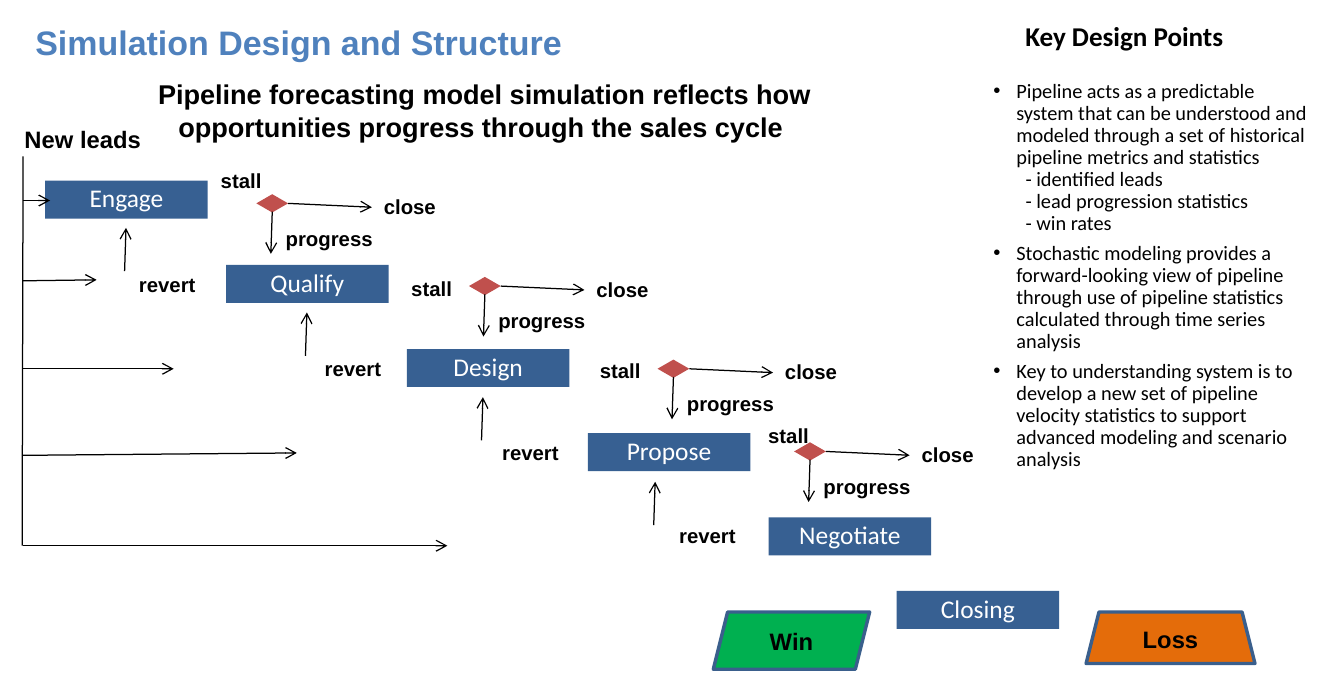
from dataclasses import dataclass

from lxml import etree
from pptx import Presentation
from pptx.dml.color import RGBColor
from pptx.enum.shapes import MSO_CONNECTOR, MSO_SHAPE
from pptx.enum.text import MSO_ANCHOR, MSO_AUTO_SIZE, PP_ALIGN
from pptx.oxml.ns import qn
from pptx.util import Cm, Pt

LEFT, CENTER = PP_ALIGN.LEFT, PP_ALIGN.CENTER
TOP, MIDDLE = MSO_ANCHOR.TOP, MSO_ANCHOR.MIDDLE
FIXED, GROW = MSO_AUTO_SIZE.NONE, MSO_AUTO_SIZE.SHAPE_TO_FIT_TEXT
RECTANGLE, DECISION = MSO_SHAPE.RECTANGLE, MSO_SHAPE.FLOWCHART_DECISION
PARALLELOGRAM, TRAPEZOID = MSO_SHAPE.PARALLELOGRAM, MSO_SHAPE.TRAPEZOID
STRAIGHT = MSO_CONNECTOR.STRAIGHT
TITLE_ONLY = 5
PAGE_SIZE = Pt(792), Pt(405)  # 11 by 5 5/8 inches, whole only in points


@dataclass(frozen=True)
class Theme:
    heading_font: str = "Arial"
    body_font: str = "Calibri"
    title: str = "4F81BD"
    ink: str = "000000"
    paper: str = "FFFFFF"
    stage: str = "376092"
    decision: str = "C0504D"
    win: str = "00B050"
    loss: str = "E46C0A"
    outline: str = "3A5F8C"
    title_size: int = 20
    heading_size: int = 16
    stage_size: int = 15
    large_label_size: int = 14
    label_size: int = 12


THEME = Theme()

# Content; all lengths are in centimetres
TITLE = "Simulation Design and Structure"
SUBTITLE = ("Pipeline forecasting model simulation reflects how "
            "opportunities progress through the sales cycle ")
POINTS_HEADING = "Key Design Points"
POINTS = [
    ("Pipeline acts as a predictable system that can be understood and modeled "
     "through a set of historical pipeline metrics and statistics",
     ["- identified leads", "- lead progression statistics", "- win rates"]),
    ("Stochastic modeling provides a forward-looking view of pipeline through "
     "use of pipeline statistics calculated through time series analysis", []),
    ("Key to understanding system is to develop a new set of pipeline velocity "
     "statistics to support advanced modeling and scenario analysis", []),
]
STAGES = ["Engage", "Qualify", "Design", "Propose", "Negotiate"]
# Decision left, then offset of its "stall" label
DECISIONS = [
    (5.33, (-0.99, -0.66)),
    (9.75, (-1.45, -0.15)),
    (13.67, (-1.45, -0.15)),
    (16.51, (-0.79, -0.53)),
]
# Arrow left, then label left
REVERTS = [(2.59, 2.64), (6.35, 6.5), (10.01, 10.19), (13.59, 13.87)]
# Start height, end x, end height of each new-leads arrow
LEADS = [
    (4.17, 1.04, 4.17),
    (5.84, 2.01, 5.82),
    (7.67, 3.61, 7.67),
    (9.47, 6.17, 9.42),
    (11.35, 9.3, 11.35),
]
OUTCOMES = [
    ("Win", PARALLELOGRAM, THEME.win, (14.83, 12.73, 3.25, 1.19)),
    ("Loss", TRAPEZOID, THEME.loss, (22.58, 12.73, 3.51, 1.07)),
]
STAGE_SIZE = (3.38, 0.79)
LABEL_WIDTHS = {"stall": 1.37, "progress": 2.34, "close": 1.6, "revert": 1.7}


def color(value):
    return RGBColor.from_string(value)


def write(frame, text, *, size, font=THEME.heading_font, ink=THEME.ink, bold=True,
          align=LEFT, line_spacing=None, space_before=0, new_paragraph=False):
    para = frame.add_paragraph() if new_paragraph else frame.paragraphs[0]
    para.alignment = align
    para.space_before = Pt(space_before)
    if line_spacing:
        para.line_spacing = line_spacing
    span = para.add_run()
    span.text = text
    span.font.name, span.font.size, span.font.bold = font, Pt(size), bold
    span.font.color.rgb = color(ink)
    return para


def add_frame(slide, bounds, wrap=True):
    frame = slide.shapes.add_textbox(*map(Cm, bounds)).text_frame
    frame.word_wrap = wrap
    frame.auto_size = GROW
    return frame


def add_label(slide, text, left, top):
    frame = add_frame(slide, (left, top, LABEL_WIDTHS[text], 0.76), wrap=False)
    write(frame, text, size=THEME.label_size)


def add_block(slide, kind, bounds, fill, outline=None):
    block = slide.shapes.add_shape(kind, *map(Cm, bounds))
    block.shadow.inherit = False
    block.fill.solid()
    block.fill.fore_color.rgb = color(fill)
    if outline:
        block.line.color.rgb = color(outline)
        block.line.width = Pt(2)
    else:
        block.line.fill.background()
    frame = block.text_frame
    frame.vertical_anchor = MIDDLE
    frame.word_wrap = False
    frame.margin_left = frame.margin_right = frame.margin_top = frame.margin_bottom = 0
    return frame


def add_line(slide, start, end, arrow=True):
    line = slide.shapes.add_connector(STRAIGHT, *map(Cm, (*start, *end)))
    line.line.color.rgb = color(THEME.ink)
    line.line.width = Pt(0.75)
    properties = line._element.spPr
    if arrow:
        etree.SubElement(properties.find(qn("a:ln")), qn("a:tailEnd"), type="arrow")
    etree.SubElement(properties, qn("a:effectLst"))


def indent(para, margin, bullet=False):
    properties = para._p.get_or_add_pPr()
    properties.set("marL", str(Cm(margin)))
    properties.set("indent", str(Cm(-margin if bullet else 0)))
    if bullet:
        etree.SubElement(properties, qn("a:buFont"), typeface="Arial")
        etree.SubElement(properties, qn("a:buChar"), char="•")


def add_headings(slide):
    title = slide.shapes.title
    title.left, title.top, title.width, title.height = map(Cm, (0.48, 0.41, 25.27, 0.79))
    title.text_frame.vertical_anchor = TOP
    title.text_frame.auto_size = FIXED
    write(title.text_frame, TITLE, size=THEME.title_size, ink=THEME.title, line_spacing=0.9)
    write(add_frame(slide, (2.24, 1.49, 15.67, 1.63)), SUBTITLE,
          size=THEME.heading_size, align=CENTER)
    write(add_frame(slide, (0.26, 2.48, 2.95, 0.86), wrap=False), "New leads",
          size=THEME.large_label_size)


def add_points(slide):
    heading = add_block(slide, RECTANGLE, (19.54, 0.35, 7.67, 0.89), THEME.paper)
    write(heading, POINTS_HEADING, size=THEME.heading_size, font=THEME.body_font,
          align=CENTER, line_spacing=0.9)
    frame = add_frame(slide, (20.4, 1.56, 7.04, 8.51))
    style = dict(size=THEME.label_size, font=THEME.body_font, bold=False, line_spacing=0.9)
    for index, (point, details) in enumerate(POINTS):
        para = write(frame, point, space_before=4.8 if index else 0,
                     new_paragraph=index > 0, **style)
        indent(para, 0.48, bullet=True)
        for detail in details:
            indent(write(frame, detail, new_paragraph=True, **style), 0.67)


def add_flow(slide):
    corners = [(0.94 + 3.76 * i, 3.76 + 1.75 * i) for i in range(len(STAGES))]
    for stage, corner in zip(STAGES + ["Closing"], corners + [(18.64, 12.29)]):
        frame = add_block(slide, RECTANGLE, (*corner, *STAGE_SIZE), THEME.stage)
        write(frame, stage, size=THEME.stage_size, font=THEME.body_font,
              ink=THEME.paper, bold=False, align=CENTER, line_spacing=0.9)

    for row, (x, stall) in enumerate(DECISIONS):
        y = 4.04 + 1.72 * row
        add_block(slide, DECISION, (x, y, 0.66, 0.38), THEME.decision)
        for text, (dx, dy) in (("stall", stall), ("progress", (0.36, 0.53)),
                               ("close", (2.4, -0.13))):
            add_label(slide, text, x + dx, y + dy)
        add_line(slide, (x + 0.33, y + 0.36), (x + 0.3, y + 1.24))
        add_line(slide, (x + 0.66, y + 0.19), (x + 2.4, y + 0.27))

    for row, (x, label_left) in enumerate(REVERTS):
        y = 5.64 + 1.76 * row
        add_line(slide, (x, y), (x + 0.03, y - 0.9))
        add_label(slide, "revert", label_left, 5.54 + 1.74 * row)

    add_line(slide, (0.48, 3.25), (0.46, 11.35), arrow=False)
    for start_y, end_x, end_y in LEADS:
        add_line(slide, (0.48, start_y), (end_x, end_y))

    for text, kind, fill, bounds in OUTCOMES:
        frame = add_block(slide, kind, bounds, fill, outline=THEME.outline)
        write(frame, text, size=THEME.large_label_size, align=CENTER)


def main():
    deck = Presentation()
    deck.slide_width, deck.slide_height = PAGE_SIZE
    slide = deck.slides.add_slide(deck.slide_layouts[TITLE_ONLY])
    add_headings(slide)
    add_points(slide)
    add_flow(slide)
    deck.save("out.pptx")


if __name__ == "__main__":
    main()
